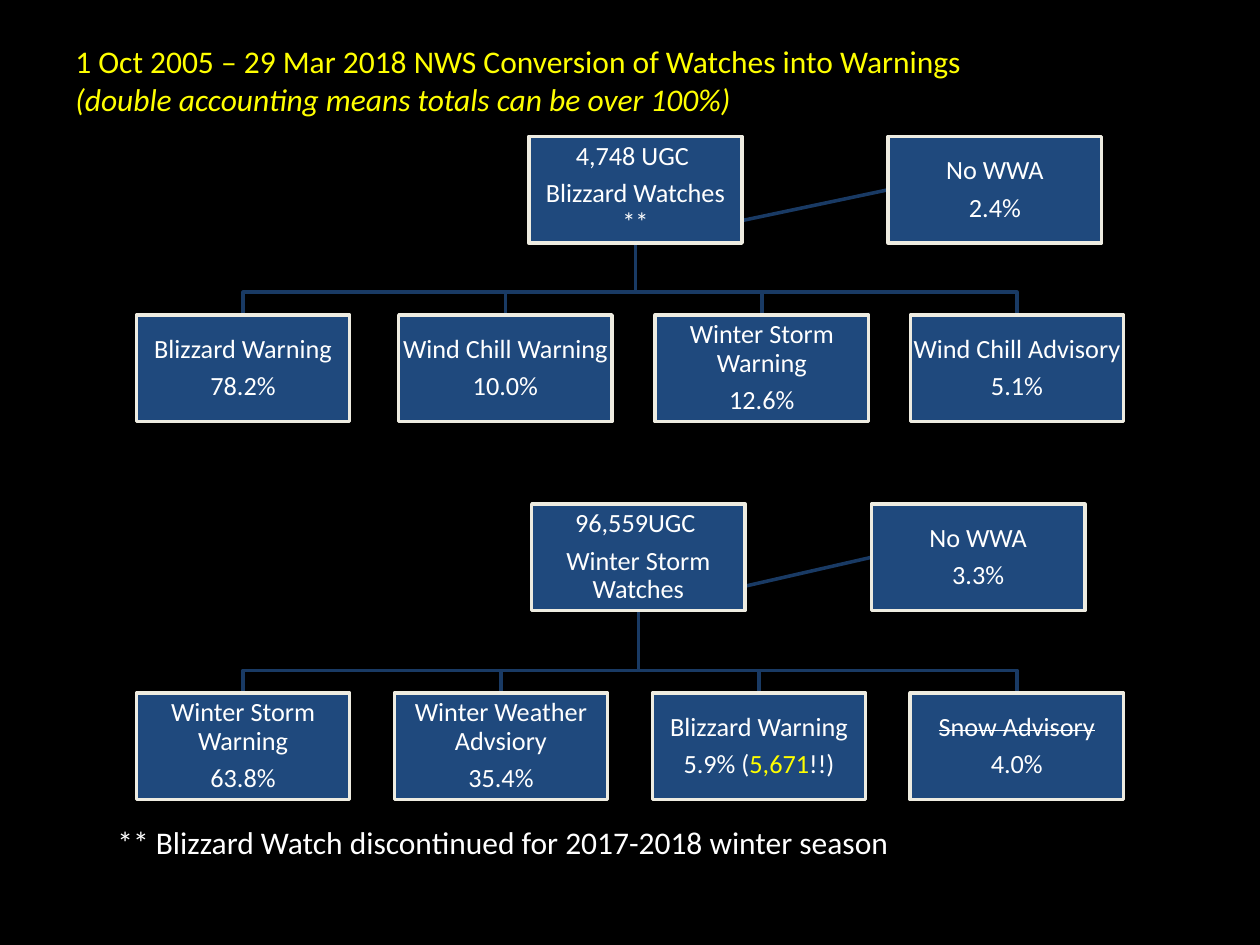
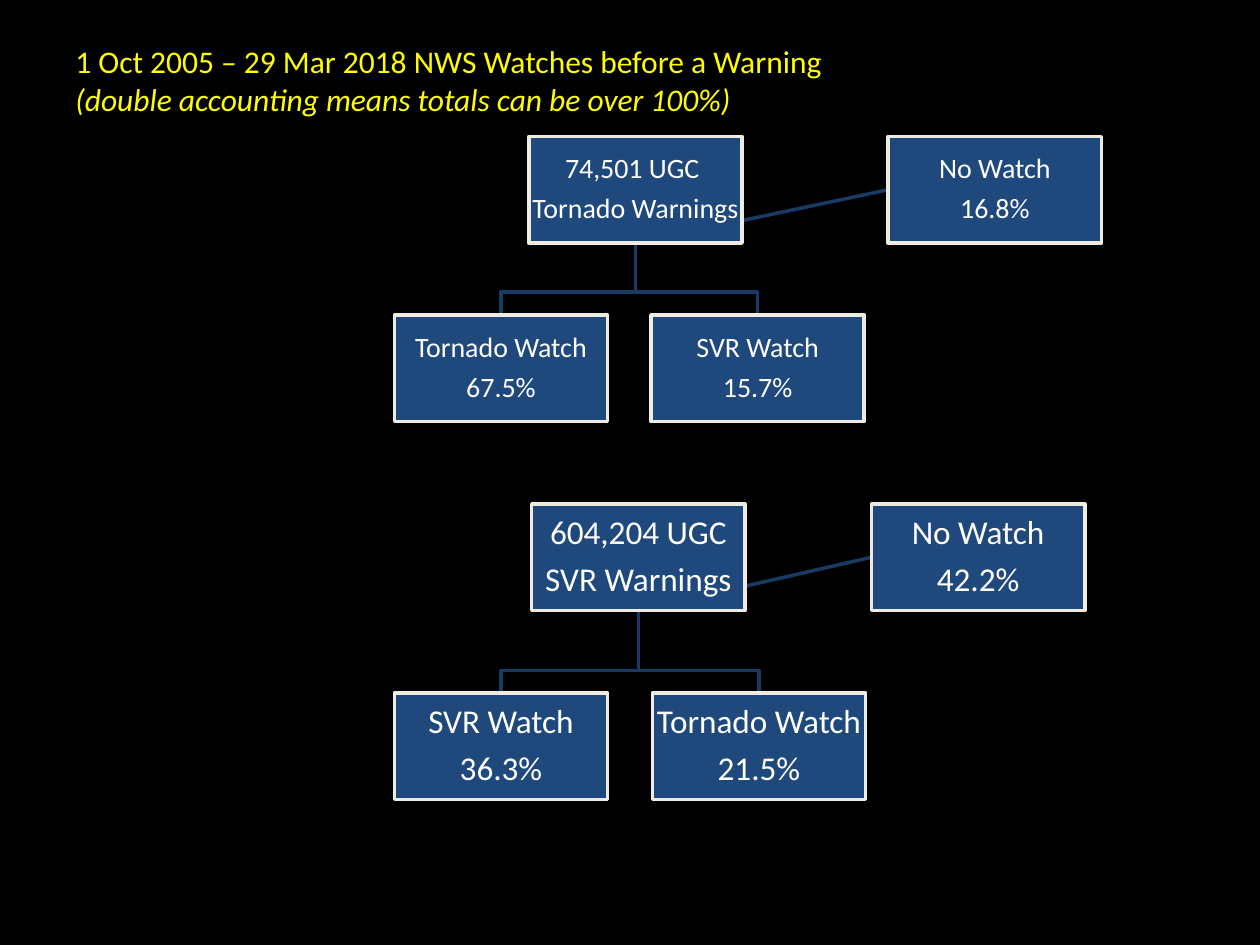
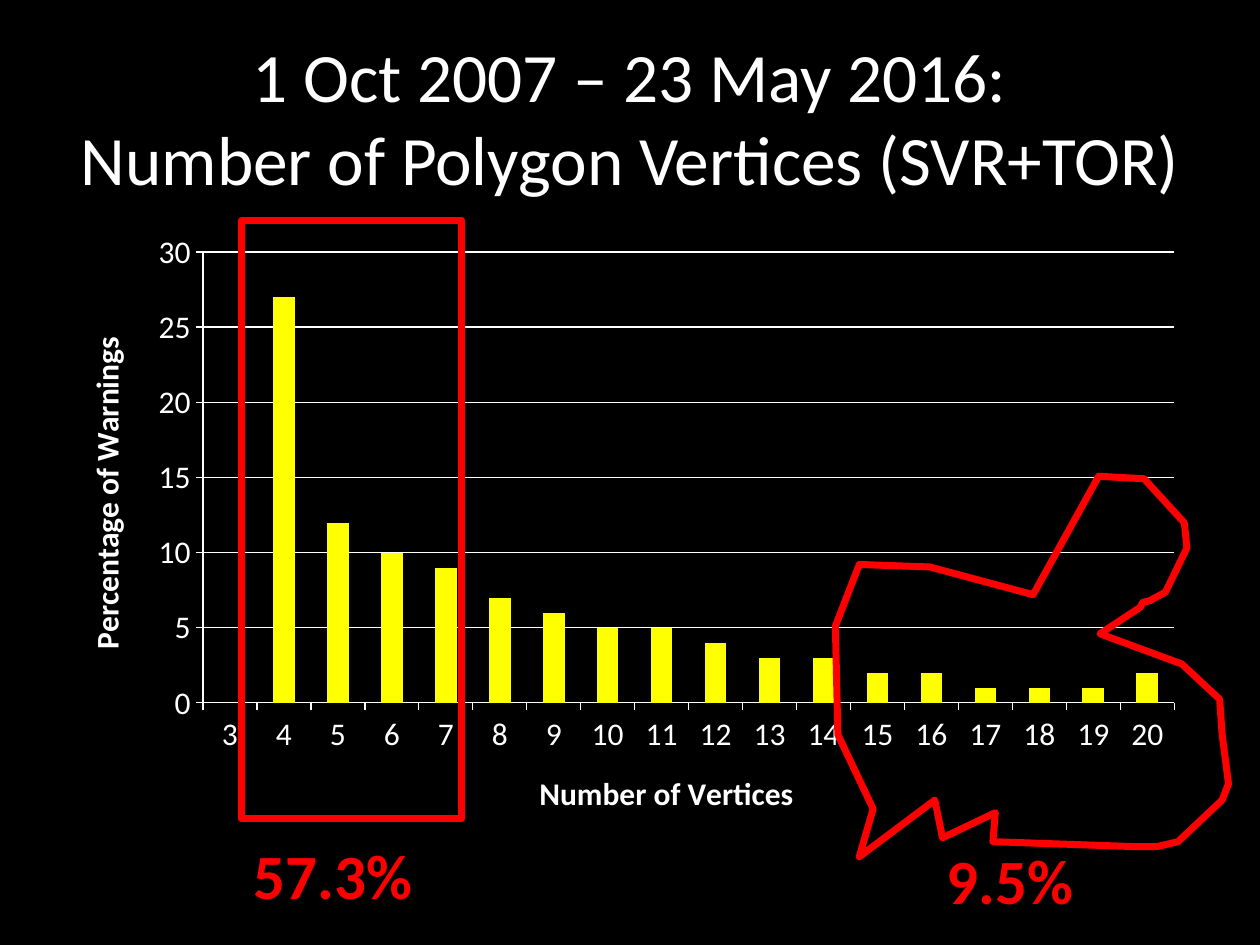
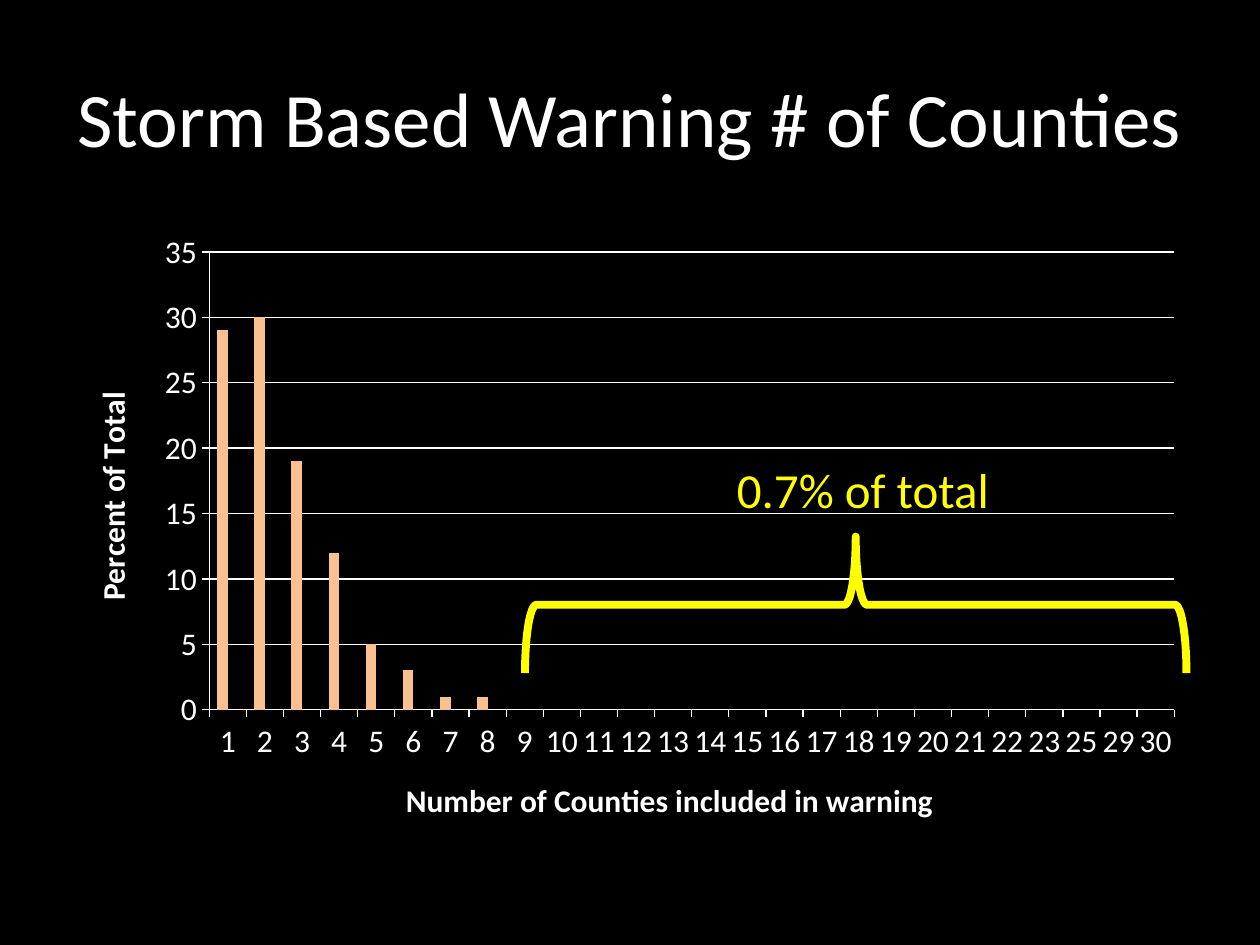
from lxml import etree
from pptx import Presentation
from pptx.chart.data import CategoryChartData
from pptx.dml.color import RGBColor
from pptx.enum.chart import XL_CHART_TYPE, XL_TICK_MARK
from pptx.enum.shapes import MSO_CONNECTOR, MSO_SHAPE
from pptx.enum.text import MSO_ANCHOR, MSO_AUTO_SIZE, PP_ALIGN
from pptx.oxml.ns import qn
from pptx.util import Inches, Pt

BLACK = RGBColor(0x00, 0x00, 0x00)
WHITE = RGBColor(0xFF, 0xFF, 0xFF)
YELLOW = RGBColor(0xFF, 0xFF, 0x00)
RED = RGBColor(0xFF, 0x00, 0x00)
NAVY = RGBColor(0x1F, 0x49, 0x7D)
DEEP_NAVY = RGBColor(0x19, 0x3A, 0x64)
CREAM = RGBColor(0xEE, 0xEC, 0xE1)
PEACH = RGBColor(0xFA, 0xC0, 0x90)
BRICK = RGBColor(0xC0, 0x50, 0x4D)

FONT = "Calibri"
COLS, ROWS = 100, 75
BOX_W, BOX_H = 16.93, 8.46
BUS_GAP = 1.8
SLOTS = [10.83 + 20.47 * i for i in range(4)]

CENTER = PP_ALIGN.CENTER
LEFT = PP_ALIGN.LEFT
MIDDLE = MSO_ANCHOR.MIDDLE
GROW = MSO_AUTO_SIZE.SHAPE_TO_FIT_TEXT
RECT = MSO_SHAPE.RECTANGLE
BRACE = MSO_SHAPE.RIGHT_BRACE
STRAIGHT = MSO_CONNECTOR.STRAIGHT
COLUMN = XL_CHART_TYPE.COLUMN_CLUSTERED
OUTSIDE = XL_TICK_MARK.OUTSIDE
BOTTOM_SIDE, LEFT_SIDE = 2, 1


def write(tf, paras, size=18, color=WHITE, bold=None, align=LEFT, spacing=None, after=None):
    for i, runs in enumerate(paras):
        p = tf.paragraphs[0] if i == 0 else tf.add_paragraph()
        p.alignment = align
        if spacing:
            p.line_spacing = spacing
        if after:
            p.space_after = Pt(after)
        for text, style in [(runs, {})] if isinstance(runs, str) else runs:
            for n, line in enumerate(text.split("\n")):
                if n:
                    p.add_line_break()
                r = p.add_run()
                r.text = line
                r.font.name = FONT
                r.font.size = Pt(size)
                r.font.bold = bold
                r.font.italic = style.get("italic")
                r.font.color.rgb = style.get("color", color)
                if style.get("strike"):
                    r._r.get_or_add_rPr().set("strike", "sngStrike")


class Deck:
    def __init__(self):
        self.prs = Presentation()
        self.prs.slide_width = Inches(10)
        self.prs.slide_height = Inches(7.5)
        self.slide = None

    def new_slide(self):
        self.slide = self.prs.slides.add_slide(self.prs.slide_layouts[6])
        fill = self.slide.background.fill
        fill.solid()
        fill.fore_color.rgb = BLACK

    def x(self, col):
        return int(self.prs.slide_width * col / COLS)

    def y(self, row):
        return int(self.prs.slide_height * row / ROWS)

    def area(self, col, row, w, h):
        return self.x(col), self.y(row), self.x(w), self.y(h)

    def finish(self, sp, line, width, fill=None):
        sp.shadow.inherit = False
        if fill is None:
            sp.fill.background()
        else:
            sp.fill.solid()
            sp.fill.fore_color.rgb = fill
        sp.line.color.rgb = line
        sp.line.width = Pt(width)
        return sp

    def shape(self, kind, area, line, width, fill=None):
        sp = self.slide.shapes.add_shape(kind, *self.area(*area))
        return self.finish(sp, line, width, fill)

    def outline(self, points, line, width, close=False):
        points = [(self.x(c), self.y(r)) for c, r in points]
        builder = self.slide.shapes.build_freeform(*points[0], scale=1.0)
        builder.add_line_segments(points[1:], close=close)
        return self.finish(builder.convert_to_shape(), line, width)

    def connector(self):
        cn = self.slide.shapes.add_connector(STRAIGHT, 0, 0, 0, 0)
        cn.line.color.rgb = DEEP_NAVY
        cn.line.width = Pt(2)
        etree.SubElement(cn._element.spPr, qn("a:effectLst"))
        return cn

    def text(self, area, paras, wrap=False, grow=True, **fmt):
        sp = self.slide.shapes.add_textbox(*self.area(*area))
        tf = sp.text_frame
        tf.word_wrap = wrap
        if grow:
            tf.auto_size = GROW
        else:
            tf.vertical_anchor = MIDDLE
        write(tf, paras, **fmt)

    def title(self, text, col, size):
        self.text((col, 3, COLS - 2 * col, 12.5), [text], wrap=True, grow=False,
                  size=size, align=CENTER)

    def heading(self, text, width):
        note = "(double accounting means totals can be over 100%)"
        self.text((5, 2.85, width, 7.07), [text, [(note, {"italic": True})]], color=YELLOW)

    def box(self, col, row, paras, size):
        sp = self.shape(RECT, (col, row, BOX_W, BOX_H), CREAM, 2, NAVY)
        tf = sp.text_frame
        tf.word_wrap = True
        tf.vertical_anchor = MIDDLE
        tf.margin_left = tf.margin_right = tf.margin_top = tf.margin_bottom = Inches(0.01)
        write(tf, paras, size=size, align=CENTER, spacing=0.9, after=0.35 * size)
        return sp

    def tree(self, parent, side, leaves, row, leaf_row, cols, leaf_cols, size):
        parent_col, side_col = cols
        trunk = parent_col + BOX_W / 2
        bus = leaf_row - BUS_GAP
        link = self.connector()
        for col in leaf_cols:
            mid = col + BOX_W / 2
            self.outline([(trunk, row + BOX_H), (trunk, bus), (mid, bus), (mid, leaf_row)],
                         DEEP_NAVY, 2)
        root = self.box(parent_col, row, parent, size)
        for col, leaf in zip(leaf_cols, leaves):
            self.box(col, leaf_row, leaf, size)
        aside = self.box(side_col, row, side, size)
        link.begin_connect(root, BOTTOM_SIDE)
        link.end_connect(aside, LEFT_SIDE)

    def upper_tree(self, parent, side, leaves, leaf_cols, size):
        self.tree(parent, side, leaves, 10.83, 25, (41.97, 70.5), leaf_cols, size)

    def lower_tree(self, parent, side, leaves, leaf_cols, size):
        self.tree(parent, side, leaves, 40, 55, (42.2, 69.17), leaf_cols, size)

    def place_plot(self, chart, area):
        plot_area = chart._chartSpace.chart.plotArea
        for old in plot_area.findall(qn("c:layout")):
            plot_area.remove(old)
        layout = etree.Element(qn("c:layout"))
        plot_area.insert(0, layout)
        manual = etree.SubElement(layout, qn("c:manualLayout"))
        settings = [("layoutTarget", "inner"), ("xMode", "edge"), ("yMode", "edge")]
        settings += [(key, str(share / 100)) for key, share in zip("xywh", area)]
        for tag, value in settings:
            etree.SubElement(manual, qn("c:" + tag)).set("val", value)

    def column_chart(self, cats, series, cat_title, val_title, top, plot_area):
        data = CategoryChartData()
        data.categories = [str(c) for c in cats]
        for name, values, _ in series:
            data.add_series(name, values)
        chart = self.slide.shapes.add_chart(COLUMN, *self.area(5, 17.5, 90, 49.5), data).chart
        chart.has_title = False
        chart.has_legend = False
        chart.font.name = FONT
        chart.font.size = Pt(18)
        chart.font.color.rgb = WHITE
        plot = chart.plots[0]
        plot.gap_width = 150
        plot.vary_by_categories = False
        for ser, (_, _, color) in zip(plot.series, series):
            ser.format.fill.solid()
            ser.format.fill.fore_color.rgb = color
        for axis, label in ((chart.category_axis, cat_title), (chart.value_axis, val_title)):
            write(axis.axis_title.text_frame, [label], bold=True)
            axis.major_tick_mark = OUTSIDE
            axis.format.line.color.rgb = WHITE
        axis = chart.value_axis
        axis.minimum_scale = 0
        axis.maximum_scale = top
        axis.major_unit = 5
        axis.has_major_gridlines = True
        axis.major_gridlines.format.line.color.rgb = WHITE
        self.place_plot(chart, plot_area)


def watches_into_warnings(deck):
    deck.new_slide()
    deck.upper_tree(
        ["4,748 UGC ", "Blizzard Watches **"], ["No WWA", "2.4%"],
        [["Blizzard Warning", "78.2%"], ["Wind Chill Warning", "10.0%"],
         ["Winter Storm Warning", "12.6%"], ["Wind Chill Advisory", "5.1%"]],
        [10.83, 31.65, 52, 72.25], 15)
    deck.lower_tree(
        ["96,559UGC ", "Winter Storm Watches"], ["No WWA", "3.3%"],
        [["Winter Storm Warning", "63.8%"], ["Winter Weather Advsiory", "35.4%"],
         ["Blizzard Warning", [("5.9% (", {}), ("5,671", {"color": YELLOW}), ("!!)", {})]],
         [[("Snow Advisory", {"strike": True})], "4.0%"]],
        SLOTS, 15)
    deck.heading("1 Oct 2005 – 29 Mar 2018 NWS Conversion of Watches into Warnings", 73.4)
    deck.text((8.33, 64.8, 64, 4),
              ["** Blizzard Watch discontinued for 2017-2018 winter season"])


def watches_before_warning(deck):
    deck.new_slide()
    deck.upper_tree(
        ["74,501 UGC ", "Tornado Warnings"], ["No Watch", "16.8%"],
        [["Tornado Watch", "67.5%"], ["SVR Watch", "15.7%"]], [31.3, 51.67], 16)
    deck.lower_tree(
        ["604,204 UGC", "SVR Warnings"], ["No Watch", "42.2%"],
        [["SVR Watch", "36.3%"], ["Tornado Watch", "21.5%"]], SLOTS[1:3], 19)
    deck.heading("1 Oct 2005 – 29 Mar 2018 NWS Watches before a Warning", 62.2)


def polygon_vertices(deck):
    deck.new_slide()
    deck.title("1 Oct 2007 – 23 May 2016:\nNumber of Polygon Vertices (SVR+TOR)", 2.5, 39.6)
    shares = [0, 27, 12, 10, 9, 7, 6, 5, 5, 4, 3, 3, 2, 2, 1, 1, 1, 2]
    deck.column_chart(range(3, 21), [("Series 1", shares, YELLOW)],
                      "Number of Vertices", "Percentage of Warnings", 30,
                      (12.35, 5.05, 85.65, 72.3))
    deck.shape(RECT, (19.17, 17.5, 17.5, 47.5), RED, 4)
    deck.text((19.17, 65.9, 15.8, 7.1), ["57.3%"], wrap=True, size=36, color=RED, bold=True)
    polygon = [(69.3, 64.2), (66.5, 58.3), (66.3, 49.7), (68.2, 44.8), (73.8, 45),
               (82, 47.2), (87.2, 37.8), (90.8, 38), (94, 41.5), (94.2, 43.5),
               (92.5, 47), (91.2, 47.7), (90.7, 47.8), (90.5, 48.2), (87.3, 50.3),
               (93.8, 52.7), (96.8, 55.5), (97, 58.3), (97.5, 62.2), (97, 63.5),
               (93.5, 66.8), (91.8, 67.2), (90.2, 67.2), (78.8, 66.8), (79, 64.5),
               (74.8, 66.5), (74.2, 63.5), (68.2, 68)]
    deck.outline(polygon, RED, 4, close=True)
    deck.text((74.17, 66.3, 15.8, 7.1), ["9.5%"], wrap=True, size=36, color=RED, bold=True)


def county_counts(deck):
    deck.new_slide()
    deck.title("Storm Based Warning # of Counties", 5, 44)
    cats = [*range(1, 24), 25, 29, 30]
    shares = [29, 30, 19, 12, 5, 3, 1, 1]
    shares += [0] * (len(cats) - len(shares))
    deck.column_chart(cats, [("Series 1", shares, PEACH),
                             ("Series 2", [None] * len(cats), BRICK)],
                      "Number of Counties included in warning", "Percent of Total", 35,
                      (12.9, 5.05, 85.1, 73.4))
    brace = deck.shape(BRACE, (62.5, 21.75, 10.83, 52.5), YELLOW, 4.5)
    brace.rotation = 270
    deck.text((57.5, 35.95, 22.3, 5.7), ["0.7% of total"], size=28, color=YELLOW)


def main():
    deck = Deck()
    watches_into_warnings(deck)
    watches_before_warning(deck)
    polygon_vertices(deck)
    county_counts(deck)
    deck.prs.save("out.pptx")


if __name__ == "__main__":
    main()
